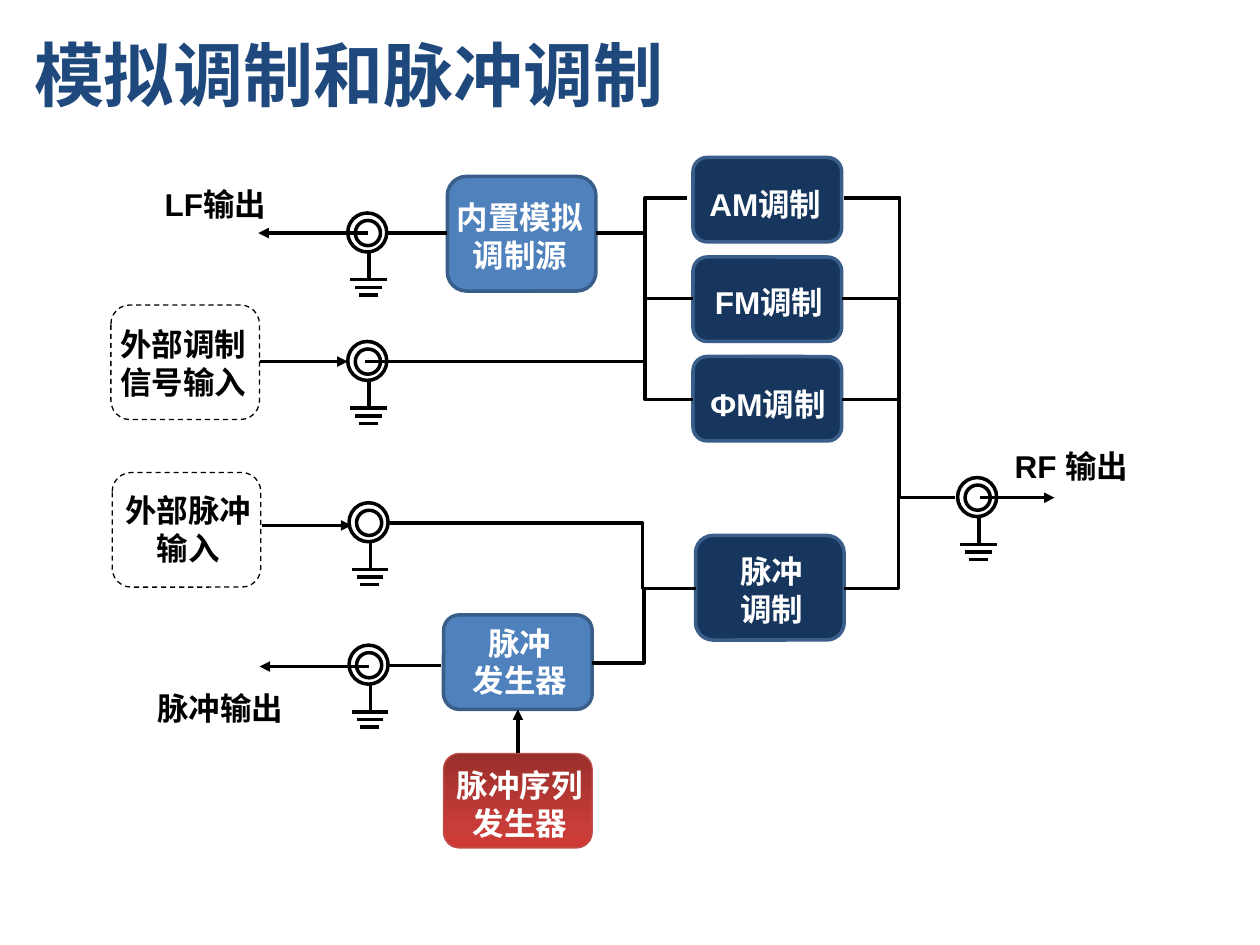
from copy import deepcopy

from pptx import Presentation
from pptx.dml import color
from pptx.enum import dml, shapes, text
from pptx.oxml import ns, xmlchemy
from pptx.util import Inches, Pt

FONT = "Arial"
TITLE = color.RGBColor(0x1F, 0x49, 0x7D)
BLACK = color.RGBColor(0, 0, 0)
WHITE = color.RGBColor(0xFF, 0xFF, 0xFF)
BLUE = color.RGBColor(0x4F, 0x81, 0xBD)
NAVY = color.RGBColor(0x17, 0x36, 0x5D)
EDGE = color.RGBColor(0x39, 0x5E, 0x8A)
RED_EDGE = color.RGBColor(0xC0, 0x50, 0x4D)
RED_STOPS = [
    (0, color.RGBColor(0x99, 0x2F, 0x2B)),
    (0.8, color.RGBColor(0xC9, 0x3D, 0x39)),
    (1, color.RGBColor(0xCD, 0x3A, 0x36)),
]
BOX_W = 1.18
LABEL_W = 1.25


def add_child(parent, tag, **attrs):
    child = xmlchemy.OxmlElement(tag)
    for key, value in attrs.items():
        child.set(key, value)
    parent.append(child)
    return child


def add_run(p, words, size, rgb):
    r = p.add_run()
    r.text = words
    r.font.name = FONT
    r.font.size = Pt(size)
    r.font.bold = True
    r.font.color.rgb = rgb
    add_child(r.font._element, "a:ea", typeface=FONT)


def add_title(s, words):
    sp = s.shapes.title
    sp.left, sp.top, sp.width, sp.height = map(Inches, (0.17, 0.25, 8.08, 0.67))
    tf = sp.text_frame
    tf.vertical_anchor = text.MSO_ANCHOR.MIDDLE
    p = tf.paragraphs[0]
    p.alignment = text.PP_ALIGN.LEFT
    add_run(p, words, 40, TITLE)


def add_label(s, lines, x, y, w, h, rgb=BLACK):
    tf = s.shapes.add_textbox(*map(Inches, (x, y, w, h))).text_frame
    tf.word_wrap = True
    tf.auto_size = text.MSO_AUTO_SIZE.SHAPE_TO_FIT_TEXT
    for i, line in enumerate(lines):
        p = tf.add_paragraph() if i else tf.paragraphs[0]
        p.alignment = text.PP_ALIGN.CENTER
        add_run(p, line, 18, rgb)


def add_outlined(s, kind, x, y, w, h, fill, line=BLACK, weight=2):
    sp = s.shapes.add_shape(kind, *map(Inches, (x, y, w, h)))
    sp.shadow.inherit = False
    if fill is None:
        sp.fill.background()
    else:
        sp.fill.solid()
        sp.fill.fore_color.rgb = fill
    sp.line.color.rgb = line
    sp.line.width = Pt(weight)
    return sp


def add_box(s, x, y, h, fill, line=EDGE, weight=2):
    kind = shapes.MSO_SHAPE.ROUNDED_RECTANGLE
    return add_outlined(s, kind, x, y, BOX_W, h, fill, line, weight)


def add_dashed_box(s, x, y, h):
    sp = add_box(s, x, y, h, None, BLACK, 0.75)
    sp.line.dash_style = dml.MSO_LINE.DASH


def add_gradient_box(s, x, y, h):
    sp = add_box(s, x, y, h, WHITE, RED_EDGE, 0.75)
    sp.fill.gradient()
    sp.fill.gradient_angle = 270
    gs_list = sp._element.spPr.find(".//" + ns.qn("a:gsLst"))
    gs_list.append(deepcopy(gs_list[-1]))
    for stop, (position, rgb) in zip(sp.fill.gradient_stops, RED_STOPS):
        stop.position = position
        stop.color.rgb = rgb


def add_wire(s, x1, y1, x2, y2, bend=None, arrow=False):
    kind = shapes.MSO_CONNECTOR.STRAIGHT if bend is None else shapes.MSO_CONNECTOR.ELBOW
    cxn = s.shapes.add_connector(kind, *map(Inches, (x1, y1, x2, y2)))
    cxn.line.color.rgb = BLACK
    cxn.line.width = Pt(2)
    sp_pr = cxn._element.spPr
    if bend is not None:
        guides = sp_pr.find(".//" + ns.qn("a:avLst"))
        adj = round((bend - x1) / (x2 - x1) * 100000)
        add_child(guides, "a:gd", name="adj1", fmla=f"val {adj}")
    if arrow:
        add_child(sp_pr.find(ns.qn("a:ln")), "a:tailEnd", type="triangle")
    add_child(sp_pr, "a:effectLst")


def add_jack(s, x, y):
    for inset, size in ((0, 0.31), (0.06, 0.2)):
        add_outlined(s, shapes.MSO_SHAPE.OVAL, x + inset, y + inset, size, size, WHITE)
    for left, right, drop in ((0.02, 0.31, 0.53), (0.06, 0.27, 0.59), (0.09, 0.24, 0.65)):
        add_wire(s, x + left, y + drop, x + right, y + drop)
    add_wire(s, x + 0.17, y + 0.31, x + 0.17, y + 0.53)


def add_pulse_part(s):
    add_box(s, 3.52, 4.88, 0.75, BLUE)
    add_label(s, ["脉冲", "发生器"], 3.5, 4.9, LABEL_W, 0.58, WHITE)
    add_box(s, 5.52, 4.25, 0.83, NAVY)
    add_label(s, ["脉冲", "调制"], 5.5, 4.33, LABEL_W, 0.65, WHITE)
    add_dashed_box(s, 0.89, 3.75, 0.91)
    add_label(s, ["外部脉冲", "输入"], 0.87, 3.85, LABEL_W, 0.71)
    add_gradient_box(s, 3.52, 5.98, 0.75)
    add_label(s, ["脉冲序列发生器"], 3.5, 6.03, LABEL_W, 0.58, WHITE)
    add_label(s, ["脉冲输出"], 1, 5.42, 1.5, 0.4)

    add_jack(s, 2.77, 3.99)
    add_jack(s, 2.77, 5.12)
    add_wire(s, 2.08, 4.17, 2.79, 4.17, arrow=True)
    add_wire(s, 2.93, 5.29, 2.06, 5.29, arrow=True)
    add_wire(s, 4.11, 5.98, 4.11, 5.63, arrow=True)
    add_wire(s, 3.08, 5.28, 3.5, 5.28)
    add_wire(s, 4.7, 5.26, 5.52, 4.67, bend=5.11)
    add_wire(s, 5.52, 4.67, 3.08, 4.15, bend=5.1)


def add_analog_part(s):
    add_box(s, 3.55, 1.4, 0.91, BLUE)
    add_label(s, ["内置模拟调制源"], 3.5, 1.52, LABEL_W, 0.71, WHITE)
    for name, top, x, y in (
        ("AM调制", 1.25, 5.45, 1.42),
        ("FM调制", 2.04, 5.48, 2.2),
        ("ΦM调制", 2.83, 5.47, 3.01),
    ):
        add_box(s, 5.5, top, 0.67, NAVY)
        add_label(s, [name], x, y, LABEL_W, 0.3, WHITE)
    add_dashed_box(s, 0.88, 2.42, 0.91)
    add_label(s, ["外部调制信号输入"], 0.83, 2.53, LABEL_W, 0.71)
    add_label(s, ["LF输出"], 0.75, 1.42, 1.92, 0.4)

    add_jack(s, 2.76, 1.69)
    add_jack(s, 2.76, 2.71)
    for x, y in ((5.45, 1.57), (5.5, 2.37), (5.5, 3.17)):
        add_wire(s, 4.73, 1.85, x, y, bend=5.12)
    add_wire(s, 3.55, 1.85, 3.08, 1.85)
    add_wire(s, 2.92, 1.85, 2.05, 1.85, arrow=True)
    add_wire(s, 2.06, 2.87, 2.76, 2.87, arrow=True)
    add_wire(s, 5.5, 3.17, 2.9, 2.87, bend=5.12)


def add_rf_output(s):
    add_jack(s, 7.6, 3.79)
    add_label(s, ["RF 输出"], 7.92, 3.5, 1.17, 0.4)
    for x, y, bend in ((6.7, 1.57, 7.14), (6.68, 2.37, 7.13), (6.68, 3.17, 7.14), (6.7, 4.67, 7.13)):
        add_wire(s, x, y, 7.58, 3.95, bend=bend)
    add_wire(s, 7.78, 3.95, 8.37, 3.95, arrow=True)


def main():
    prs = Presentation()
    prs.slide_width, prs.slide_height = Inches(10), Inches(7.5)
    s = prs.slides.add_slide(prs.slide_layouts[5])
    add_title(s, "模拟调制和脉冲调制")
    add_pulse_part(s)
    add_analog_part(s)
    add_rf_output(s)
    prs.save("out.pptx")


if __name__ == "__main__":
    main()
